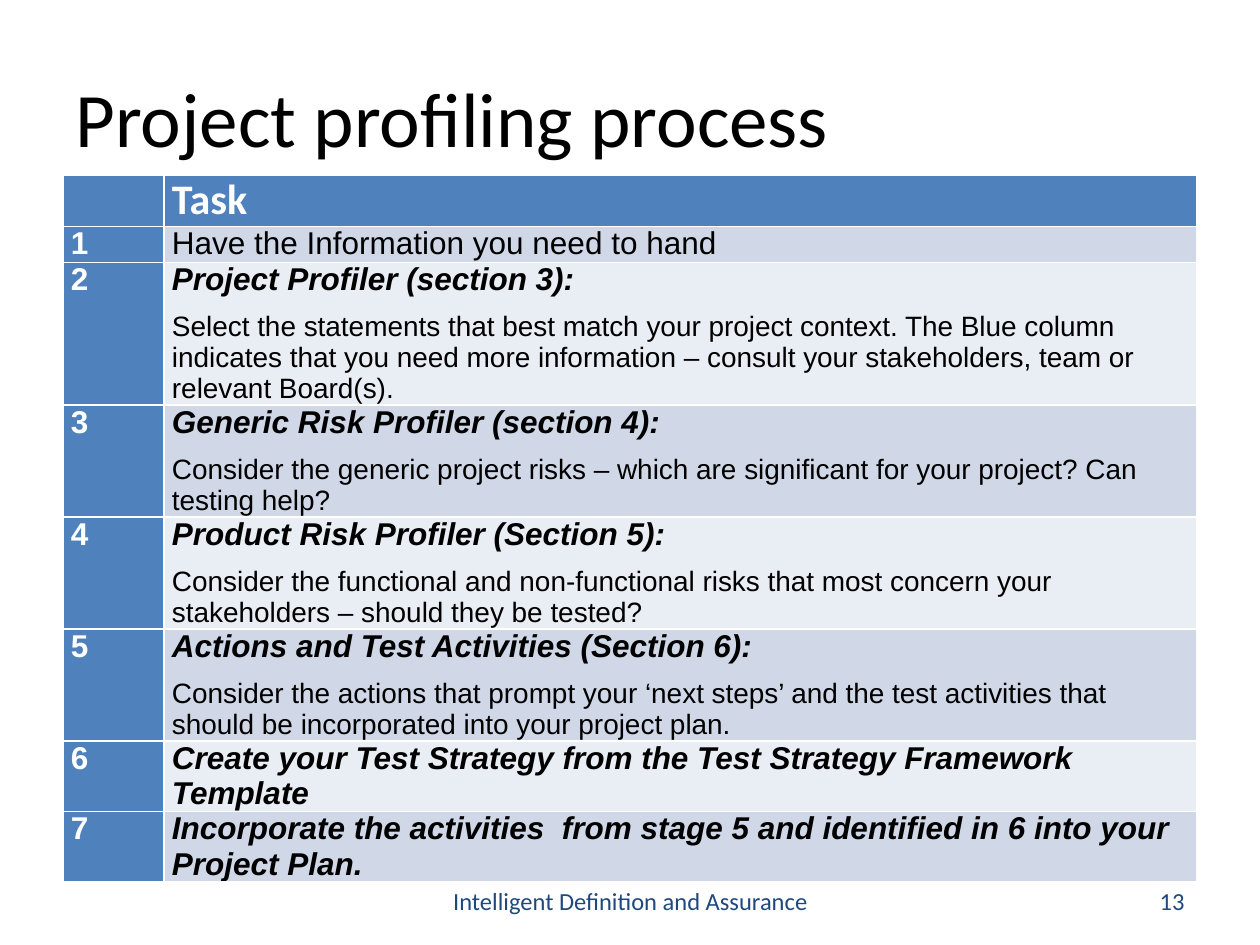
"""Build the project profiling process slide."""
from pptx import Presentation
from pptx.dml.color import RGBColor as RGB
from pptx.enum.text import MSO_ANCHOR as Anchor, PP_ALIGN as Align
from pptx.util import Emu, Pt

HUES = {"head": "4F81BD", "odd": "D0D8E8", "even": "E9EDF4",
        "ink": "000000", "pale": "FFFFFF", "foot": "1F497D"}


def px(num):
    """Turn pixels into EMU."""
    return Emu(num * 914400 // 126)


def write(para, text, hue, **form):
    """Add a run with the given font values."""
    run = para.add_run()
    run.text = text
    run.font.color.rgb = RGB.from_string(HUES[hue])
    for key, val in form.items():
        setattr(run.font, key, val)


LEAD = {"name": "Arial", "size": Pt(18), "bold": True, "italic": True}
PLAIN = {"name": "Arial", "size": Pt(18), "bold": False, "italic": False}
BODY = {**PLAIN, "size": Pt(16)}
MARK = {**LEAD, "italic": False}
HEAD = {"name": "Calibri", "size": Pt(24), "bold": True}

TASKS = [
    (36, [("Have the Information you need to hand", PLAIN)]),
    (142, [("Project Profiler (section 3):", LEAD),
           ("Select the statements that best match your project context. "
            "The Blue column indicates that you need more information – "
            "consult your stakeholders, team or relevant Board(s).", BODY)]),
    (112, [("Generic Risk Profiler (section 4):", LEAD),
           ("Consider the generic project risks – which are significant "
            "for your project? Can testing help?", BODY)]),
    (112, [("Product Risk Profiler (Section 5):", LEAD),
           ("Consider the functional and non-functional risks that most "
            "concern your stakeholders – should they be tested?", BODY)]),
    (112, [("Actions and Test Activities (Section 6):", LEAD),
           ("Consider the actions that prompt your ‘next steps’ and the test "
            "activities that should be incorporated into your project plan.",
            BODY)]),
    (70, [("Create your Test Strategy from the Test Strategy Framework "
           "Template", LEAD)]),
    (70, [("Incorporate the activities  from stage 5 and identified in 6 "
           "into your Project Plan.", LEAD)]),
]

deck = Presentation()
deck.slide_width, deck.slide_height = px(1260), px(945)
slide = deck.slides.add_slide(deck.slide_layouts[5])

title = slide.shapes.title
title.left, title.top, title.width, title.height = map(px, (63, 38, 1134, 158))
title.text_frame.vertical_anchor = Anchor.MIDDLE
para = title.text_frame.paragraphs[0]
para.alignment = Align.LEFT
write(para, "Project profiling process", "ink", name="Calibri", size=Pt(44))

rows = [(50, [], [("Task", HEAD)])]
rows += [(tall, [(str(num), MARK)], task)
         for num, (tall, task) in enumerate(TASKS, 1)]
total = sum(row[0] for row in rows)
grid = slide.shapes.add_table(
    len(rows), 2, px(63), px(175), px(1134), px(total)).table
grid.first_col = True
for col, wide in zip(grid.columns, (101, 1033)):
    col.width = px(wide)

for r, (tall, *parts) in enumerate(rows):
    grid.rows[r].height = px(tall)
    for c, lines in enumerate(parts):
        cell = grid.cell(r, c)
        dark = r == 0 or c == 0
        fill = "head" if dark else "odd" if r % 2 else "even"
        cell.fill.solid()
        cell.fill.fore_color.rgb = RGB.from_string(HUES[fill])
        cell.margin_left = cell.margin_right = px(8)
        cell.margin_top = cell.margin_bottom = 0
        frame = cell.text_frame
        for n, (text, form) in enumerate(lines):
            para = frame.add_paragraph() if n else frame.paragraphs[0]
            para.space_after = Pt(8)
            write(para, text, "pale" if dark else "ink", **form)

FOOT = [(431, 399, Align.CENTER, "Intelligent Definition and Assurance"),
        (903, 294, Align.RIGHT, "13")]
for left, wide, align, text in FOOT:
    box = slide.shapes.add_textbox(px(left), px(876), px(wide), px(50))
    frame = box.text_frame
    frame.word_wrap = True
    frame.vertical_anchor = Anchor.MIDDLE
    para = frame.paragraphs[0]
    para.alignment = align
    write(para, text, "foot", name="Calibri", size=Pt(14))

deck.save("out.pptx")
